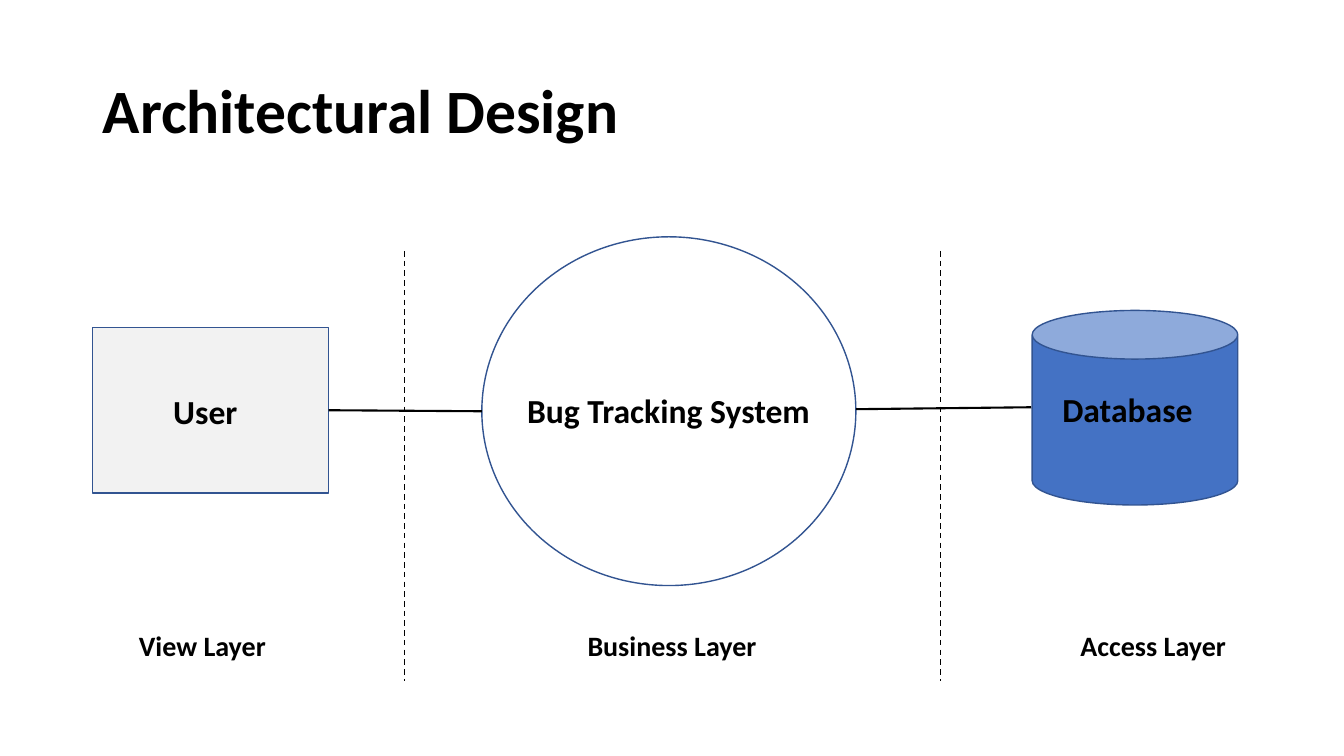
"""Build the Architectural Design slide: three layers joined from user to database."""
from dataclasses import dataclass

from lxml import etree
from pptx import Presentation
from pptx.dml.color import RGBColor
from pptx.enum.dml import MSO_LINE
from pptx.enum.shapes import MSO_CONNECTOR, MSO_SHAPE
from pptx.enum.text import MSO_ANCHOR, MSO_AUTO_SIZE, PP_ALIGN
from pptx.oxml.ns import qn
from pptx.util import Inches, Pt

RECT, CAN, OVAL = MSO_SHAPE.RECTANGLE, MSO_SHAPE.CAN, MSO_SHAPE.OVAL
STRAIGHT, DASH = MSO_CONNECTOR.STRAIGHT, MSO_LINE.DASH
MIDDLE, LEFT = MSO_ANCHOR.MIDDLE, PP_ALIGN.LEFT
NO_FIT, GROW = MSO_AUTO_SIZE.NONE, MSO_AUTO_SIZE.SHAPE_TO_FIT_TEXT
TITLE_ONLY, RIGHT_SIDE = 5, 3
FONT, BLACK, OUTLINE = "Calibri", "000000", "325491"
WIDTH, HEIGHT = Inches(13.33), Inches(7.5)


@dataclass(frozen=True)
class Box:
    """Frame in percent of the slide's width and height."""
    left: float
    top: float
    width: float
    height: float


@dataclass(frozen=True)
class Node:
    """Outlined shape of the diagram."""
    kind: int
    box: Box
    fill: str


@dataclass(frozen=True)
class Label:
    """Bold caption with its size in points."""
    text: str
    box: Box
    size: int


@dataclass(frozen=True)
class Line:
    """Straight line in percent of the slide, with its weight in points."""
    x1: float
    y1: float
    x2: float
    y2: float
    weight: float
    dashed: bool = False


TITLE = Label("Architectural Design", Box(6.9, 5.33, 86.25, 19.33), 44)
USER = Node(RECT, Box(6.9, 43.33, 17.55, 21.87), "F2F2F2")
DATABASE = Node(CAN, Box(76.8, 41.07, 15.3, 25.73), "4472C4")
SYSTEM = Node(OVAL, Box(35.85, 31.33, 27.83, 46.13), "FFFFFF")
LABELS = [
    Label("User", Box(12.15, 51.07, 8.55, 6.67), 24),
    Label("Bug Tracking System", Box(38.48, 50.93, 22.65, 6.67), 24),
    Label("Database", Box(78.3, 50.8, 12, 6.67), 24),
    Label("View Layer", Box(9.6, 82.53, 13.58, 5.87), 20),
    Label("Business Layer", Box(42.98, 82.53, 16.28, 5.87), 20),
    Label("Access Layer", Box(79.65, 82.53, 13.58, 5.87), 20),
]
USER_LINK = Line(24.45, 54.27, 35.85, 54.4, 1.5)
DATABASE_LINK = Line(63.68, 54.13, 76.73, 53.87, 1.5)
DIVIDERS = [Line(x, 33.2, x, 90.13, 1, True) for x in (30.08, 69.98)]


def color(value: str) -> RGBColor:
    """Turn a hex string into a colour."""
    return RGBColor.from_string(value)


def across(share: float) -> int:
    """Convert a percentage of the slide's width."""
    return round(WIDTH * share / 100)


def down(share: float) -> int:
    """Convert a percentage of the slide's height."""
    return round(HEIGHT * share / 100)


def frame(box: Box) -> tuple[int, int, int, int]:
    """Convert a box to left, top, width and height."""
    return across(box.left), down(box.top), across(box.width), down(box.height)


def write(sp, label: Label):
    """Fill a shape with the label's text and return its paragraph."""
    tf = sp.text_frame
    tf.word_wrap = True
    p = tf.paragraphs[0]
    p.text = label.text
    p.font.name, p.font.size, p.font.bold = FONT, Pt(label.size), True
    p.font.color.rgb = color(BLACK)
    return p


def add_title(s, label: Label) -> None:
    """Place and format the title placeholder."""
    sp = s.shapes.title
    sp.left, sp.top, sp.width, sp.height = frame(label.box)
    p = write(sp, label)
    p.alignment, p.line_spacing = LEFT, 0.9
    sp.text_frame.vertical_anchor = MIDDLE
    sp.text_frame.auto_size = NO_FIT


def add_node(s, node: Node):
    """Draw an outlined shape and return it."""
    sp = s.shapes.add_shape(node.kind, *frame(node.box))
    sp.shadow.inherit = False
    sp.fill.solid()
    sp.fill.fore_color.rgb = color(node.fill)
    sp.line.color.rgb = color(OUTLINE)
    sp.line.width = Pt(1)
    return sp


def add_label(s, label: Label) -> None:
    """Draw a caption in a text box."""
    sp = s.shapes.add_textbox(*frame(label.box))
    write(sp, label)
    sp.text_frame.auto_size = GROW


def add_line(s, line: Line):
    """Draw a straight black line and return it."""
    cxn = s.shapes.add_connector(STRAIGHT, across(line.x1), down(line.y1),
                                 across(line.x2), down(line.y2))
    cxn.line.color.rgb = color(BLACK)
    cxn.line.width = Pt(line.weight)
    if line.dashed:
        cxn.line.dash_style = DASH
    etree.SubElement(cxn._element.spPr, qn("a:effectLst"))
    return cxn


def main() -> None:
    """Build and save the slide."""
    prs = Presentation()
    prs.slide_width, prs.slide_height = WIDTH, HEIGHT
    s = prs.slides.add_slide(prs.slide_layouts[TITLE_ONLY])
    add_title(s, TITLE)
    user = add_node(s, USER)
    for node in (DATABASE, SYSTEM):
        add_node(s, node)
    for label in LABELS:
        add_label(s, label)
    add_line(s, USER_LINK).begin_connect(user, RIGHT_SIDE)
    for line in (*DIVIDERS, DATABASE_LINK):
        add_line(s, line)
    prs.save("out.pptx")


if __name__ == "__main__":
    main()
